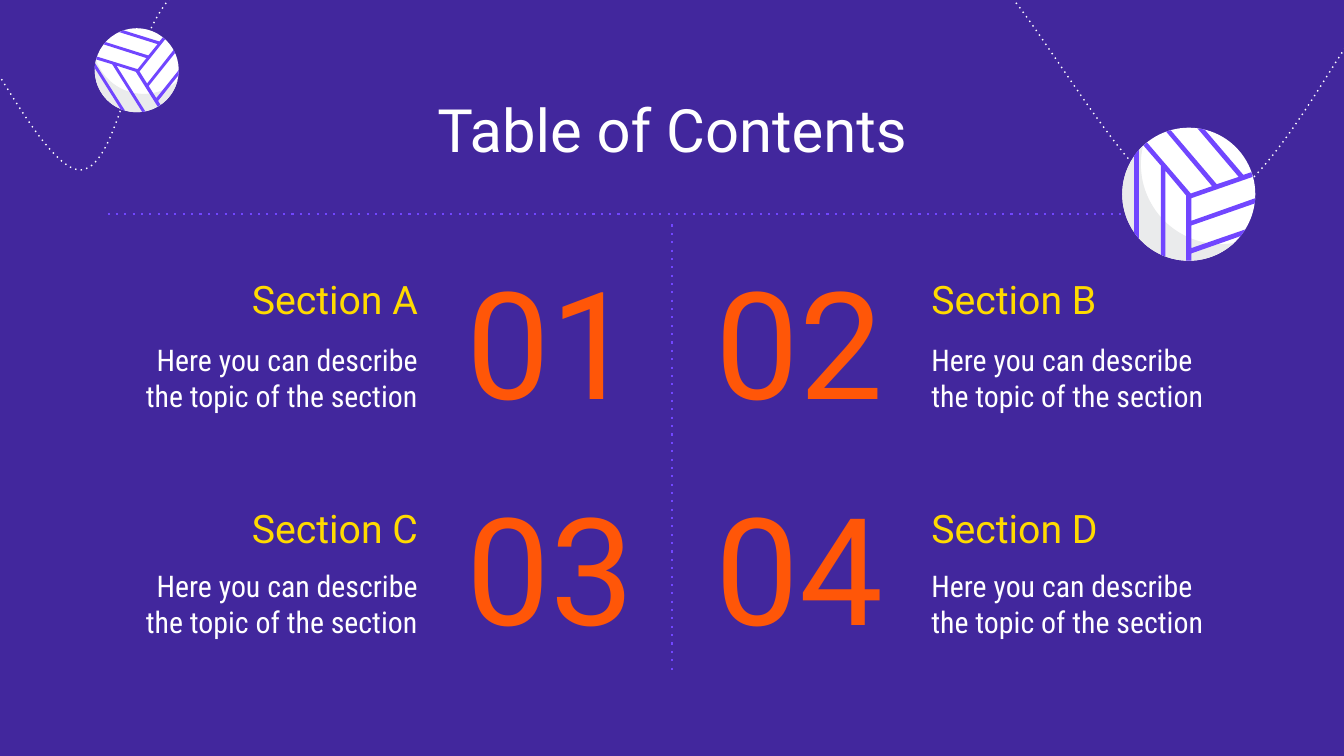
from math import cos, radians, sin

from lxml.etree import SubElement
from pptx import Presentation
from pptx.dml.color import RGBColor
from pptx.enum.shapes import MSO_CONNECTOR, MSO_SHAPE
from pptx.enum.text import MSO_ANCHOR, PP_ALIGN
from pptx.oxml.ns import qn
from pptx.util import Inches, Pt

COLUMNS, ROWS = 80, 45
PURPLE, VIOLET, WHITE = "42279D", "7146FF", "FFFFFF"
YELLOW, ORANGE, GREY = "FFDA00", "FF5608", "EAEBEC"

BAR = [(-0.75, -0.67), (-0.82, -0.58), (-0.82, 0.58), (-0.75, 0.67)]
SEAMS = [
    (0.13, -0.99), (0.75, -0.26), (0.42, -0.15), (-0.27, -0.96), (-0.34, -0.94),
    (0.35, -0.12), (0.03, -0.01), (-0.63, -0.78), (-0.68, -0.73), (-0.42, -0.43),
    (-0.42, 0.91), (-0.35, 0.94), (-0.35, -0.35), (-0.04, 0.02), (-0.04, 1),
    (0.04, 1), (0.04, 0.89), (0.78, 0.63), (0.85, 0.53), (0.04, 0.81),
    (0.04, 0.47), (0.99, 0.14), (1, 0.06), (0.04, 0.4), (0.04, 0.06),
    (0.96, -0.26), (0.94, -0.33), (0.82, -0.29), (0.24, -0.97),
]
LEFT_FLIGHT = [
    (0, 0.38), (0.04, 0.48), (0.17, 1.05), (0.24, 1), (0.33, 0.95),
    (0.35, 0.21), (0.48, 0.06), (0.6, -0.09), (0.91, 0.09), (1, 0.09),
]
RIGHT_FLIGHT = [
    (0, 0.09), (0.03, 0.08), (0.06, -0.09), (0.16, 0.06), (0.26, 0.21),
    (0.48, 0.96), (0.62, 1), (0.76, 1.04), (0.94, 0.4), (1, 0.28),
]


def cells(count):
    """Turn a number of grid cells into a length."""
    return Inches(count * 20 / COLUMNS)


def color(value):
    """Turn a hex string into a colour."""
    return RGBColor.from_string(value)


def dot_line(shape, hue, weight):
    """Give a shape or connector a dotted line."""
    shape.line.color.rgb = color(hue)
    shape.line.width = Pt(weight)
    outline = shape._element.spPr.find(qn("a:ln"))
    SubElement(outline, qn("a:prstDash"), val="dot")


def add_text(slide, box, text, size, hue, font="Roboto",
             align=PP_ALIGN.CENTER, anchor=MSO_ANCHOR.MIDDLE):
    """Place one paragraph of text in a box of cells."""
    frame = slide.shapes.add_textbox(*map(cells, box)).text_frame
    frame.word_wrap = True
    frame.vertical_anchor = anchor
    frame.margin_left = frame.margin_right = cells(0.8)
    frame.margin_top = frame.margin_bottom = cells(0.8)
    paragraph = frame.paragraphs[0]
    paragraph.alignment = align
    run = paragraph.add_run()
    run.text = text
    run.font.name = font
    run.font.size = Pt(size)
    run.font.color.rgb = color(hue)


def add_outline(slide, points, close=True):
    """Draw an outline through points given in cells."""
    corners = [(cells(x), cells(y)) for x, y in points]
    builder = slide.shapes.build_freeform(*corners[0])
    builder.add_line_segments(corners[1:], close=close)
    outline = builder.convert_to_shape()
    outline.shadow.inherit = False
    return outline


def paint(shape, hue):
    """Fill a shape plainly, without line or shadow."""
    shape.shadow.inherit = False
    shape.fill.solid()
    shape.fill.fore_color.rgb = color(hue)
    shape.line.fill.background()


def arc(x, y, radius, start, end, steps=40):
    """List points along an arc, with angles in degrees."""
    angles = [radians(start + (end - start) * i / steps) for i in range(steps + 1)]
    return [(x + radius * cos(a), y + radius * sin(a)) for a in angles]


def bezier(points, steps=30):
    """List points along a chain of cubic curves."""
    curve = [points[0]]
    for first in range(0, len(points) - 1, 3):
        for i in range(1, steps + 1):
            t = i / steps
            weights = ((1 - t) ** 3, 3 * t * (1 - t) ** 2, 3 * t * t * (1 - t), t ** 3)
            pairs = list(zip(weights, points[first:first + 4]))
            curve.append(tuple(sum(w * p[axis] for w, p in pairs) for axis in (0, 1)))
    return curve


def add_dividers(slide, box):
    """Draw the dotted line under the title and the one between the columns."""
    left, top, width, height = box
    middle = left + width / 2
    for ends in ((left, top, left + width, top),
                 (middle, top + 0.6, middle, top + height)):
        divider = slide.shapes.add_connector(MSO_CONNECTOR.STRAIGHT, *map(cells, ends))
        dot_line(divider, VIOLET, 2.25)
        SubElement(divider._element.spPr, qn("a:effectLst"))


def add_flight(slide, box, course):
    """Draw the dotted course of a ball, given as shares of its box."""
    left, top, width, height = box
    points = [(left + x * width, top + y * height) for x, y in bezier(course)]
    flight = add_outline(slide, points, close=False)
    flight.fill.background()
    dot_line(flight, WHITE, 1.5)


def add_ball(slide, box, turn=0):
    """Draw a volleyball in a square box, turned clockwise in degrees."""
    left, top, size = box
    radius = size / 2
    c, s = cos(radians(turn)), sin(radians(turn))
    paint(slide.shapes.add_shape(MSO_SHAPE.OVAL, *map(cells, (left, top, size, size))), WHITE)
    shade = arc(0, 0, 1, 46.6, 226.6) + arc(0.48, -0.45, 1.2, 193, 80)
    for part, hue in ((shade, GREY), (BAR, VIOLET), (SEAMS, VIOLET)):
        points = [(left + radius * (1 + x * c - y * s),
                   top + radius * (1 + x * s + y * c)) for x, y in part]
        paint(add_outline(slide, points), hue)


def add_section(slide, box, number, name, mirrored, name_drop):
    """Place a section's number, name and description in its box."""
    left, top, width, height = box
    number_width, text_width, body_height = 13.16, 19.08, 5
    number_left = left + width - number_width if mirrored else left
    text_left = left if mirrored else left + width - text_width
    align = PP_ALIGN.RIGHT if mirrored else PP_ALIGN.LEFT
    add_text(slide, (number_left, top, number_width, height), number, 160, ORANGE)
    add_text(slide, (text_left, top + name_drop, text_width, 3.92),
             name, 42, YELLOW, align=align)
    add_text(slide, (text_left, top + height - body_height, text_width, body_height),
             "Here you can describe the topic of the section", 32, WHITE,
             font="Roboto Condensed", align=align)


def add_contents(slide, box):
    """Arrange the four sections in two columns and two rows."""
    left, top, width, height = box
    section_width, section_height = 32.72, 9.44
    for i, letter in enumerate("ABCD"):
        row, column = divmod(i, 2)
        section_box = (left + column * (width - section_width),
                       top + row * (height - section_height),
                       section_width, section_height)
        add_section(slide, section_box, f"{i + 1:02}", f"Section {letter}",
                    mirrored=column == 0, name_drop=(0.28, 0.48)[row])


def main():
    """Build the contents slide."""
    deck = Presentation()
    deck.slide_width, deck.slide_height = cells(COLUMNS), cells(ROWS)
    slide = deck.slides.add_slide(deck.slide_layouts[6])
    slide.background.fill.solid()
    slide.background.fill.fore_color.rgb = color(PURPLE)
    add_dividers(slide, (6.4, 12.76, 67.2, 27.44))
    add_flight(slide, (55.12, -2.12, 25.6, 14.6), RIGHT_FLIGHT)
    add_flight(slide, (-1.2, -1.72, 25.84, 11.8), LEFT_FLIGHT)
    add_text(slide, (6.3, 4.72, 67.4, 5), "Table of Contents", 64, WHITE,
             anchor=MSO_ANCHOR.TOP)
    add_contents(slide, (6.6, 15.52, 67.12, 22.88))
    add_ball(slide, (66.8, 7.6, 7.92))
    add_ball(slide, (5.64, 1.68, 5), turn=-32.2)
    deck.save("out.pptx")


if __name__ == "__main__":
    main()
